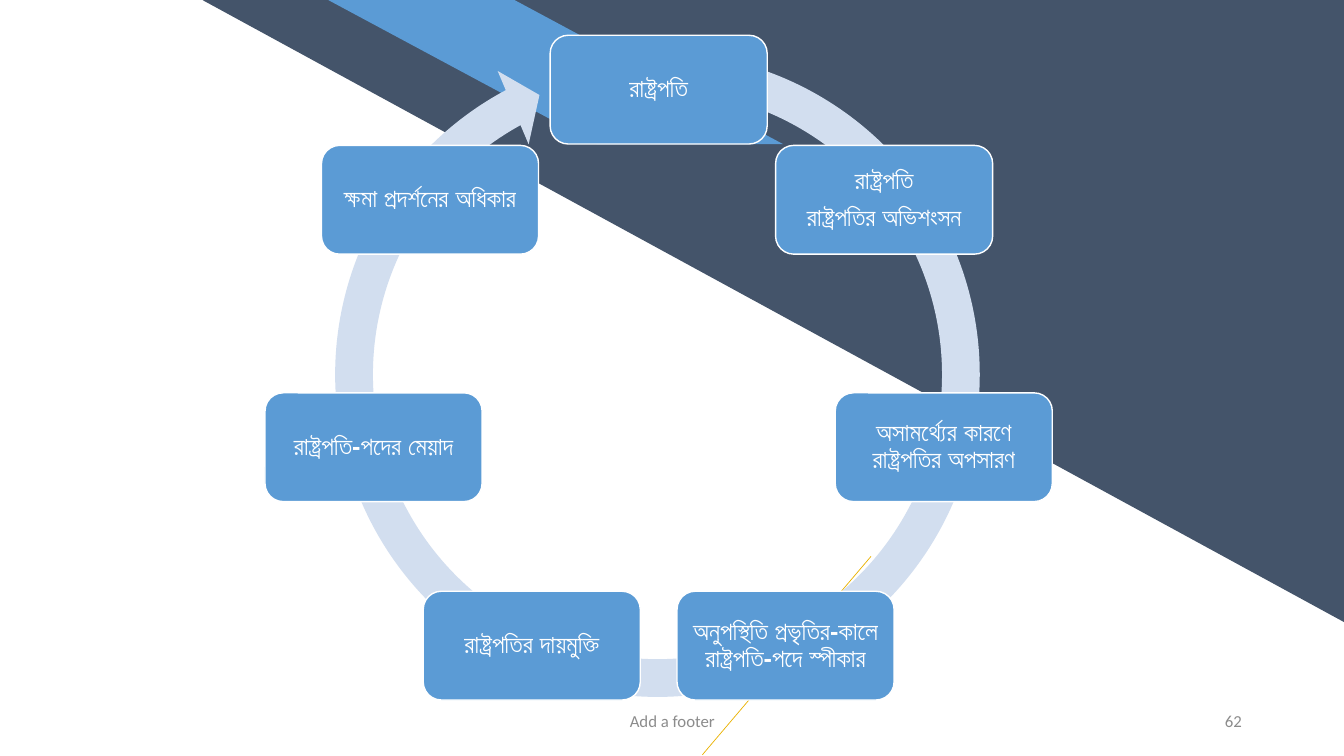
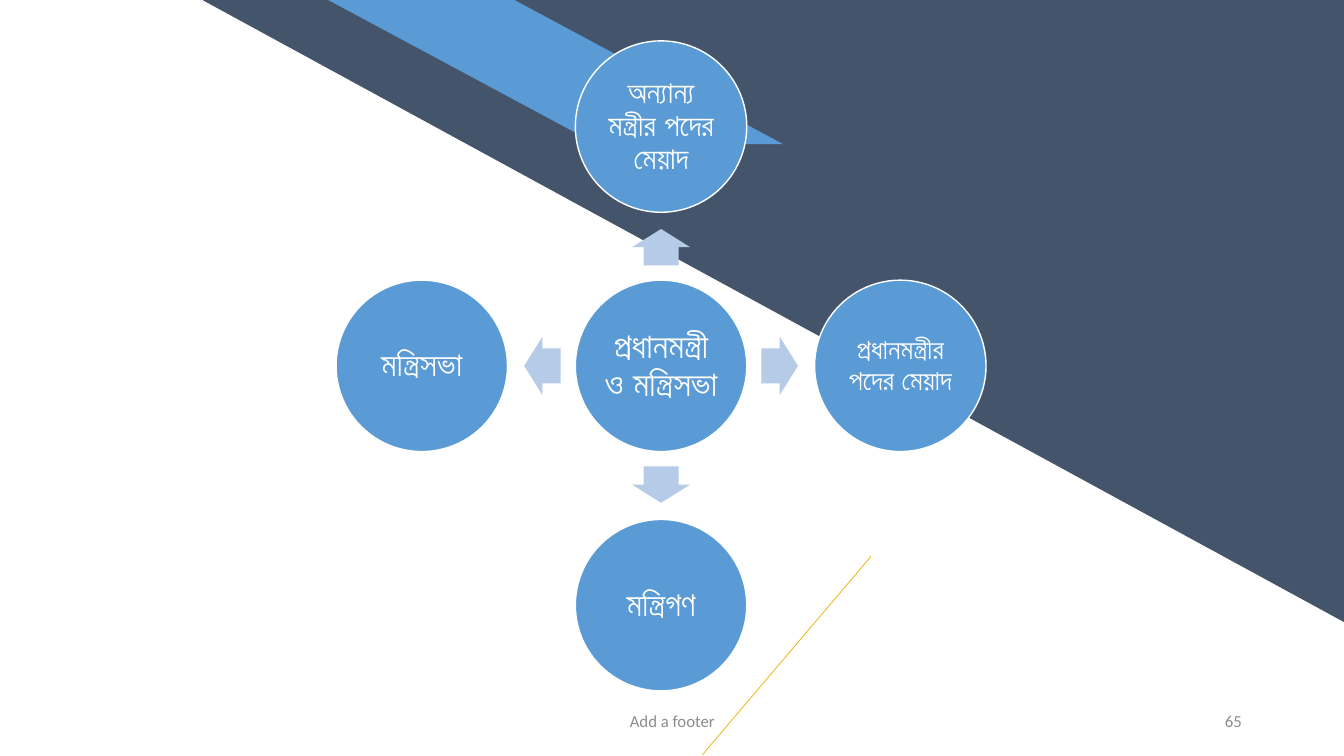
from dataclasses import dataclass
from math import cos, sin, tau

from lxml import etree
from pptx import Presentation
from pptx import util as u
from pptx.dml.color import RGBColor
from pptx.enum import shapes, text
from pptx.oxml.ns import qn

# Content: lines of each box, with a sideways nudge in cm
CYCLE = [
    (["রাষ্ট্রপতি"], 0),
    (["রাষ্ট্রপতি", "রাষ্ট্রপতির অভিশংসন"], -0.08),
    (["অসামর্থ্যের কারণে রাষ্ট্রপতির অপসারণ"], 0),
    (["অনুপস্থিতি প্রভৃতির-কালে রাষ্ট্রপতি-পদে স্পীকার"], 0),
    (["রাষ্ট্রপতির দায়মুক্তি"], 0),
    (["রাষ্ট্রপতি-পদের মেয়াদ"], 0),
    (["ক্ষমা প্রদর্শনের অধিকার"], 0),
]
HUB = ("প্রধানমন্ত্রী ও মন্ত্রিসভা", 25)
# Text, type size, direction from the hub, turn of the arrow
SPOKES = [
    ("অন্যান্য মন্ত্রীর পদের মেয়াদ", 22, (0, -1), 270),
    ("প্রধানমন্ত্রীর পদের মেয়াদ", 20, (1, 0), 0),
    ("মন্ত্রিগণ", 24, (0, 1), 90),
    ("মন্ত্রিসভা", 24, (-1, 0), 180),
]
FOOTER = "Add a footer"


@dataclass(frozen=True)
class Theme:
    navy: str = "44546A"
    blue: str = "5B9BD5"
    gold: str = "EAB200"
    ring: str = "D2DEEF"
    arrow: str = "B5CBE7"
    white: str = "FFFFFF"
    grey: str = "8C8C8C"
    body: str = "Arial"
    foot: str = "Calibri"
    box: int = 18
    small: int = 12


T = Theme()
KIND = shapes.MSO_SHAPE
ALIGN = text.PP_ALIGN


def rgb(code):
    return RGBColor.from_string(code)


def write(frame, lines, size, color=T.white, font=T.body, bold=True,
          align=ALIGN.CENTER, inset=None, lead=0.9, after=7):
    frame.word_wrap = True
    frame.vertical_anchor = text.MSO_ANCHOR.MIDDLE
    if inset is not None:
        frame.margin_left = frame.margin_right = u.Cm(inset)
        frame.margin_top = frame.margin_bottom = u.Cm(inset)
    for i, line in enumerate(lines):
        para = frame.add_paragraph() if i else frame.paragraphs[0]
        para.alignment = align
        para.line_spacing = lead
        para.space_after = u.Pt(after)
        run = para.add_run()
        run.text = line
        run.font.size, run.font.bold, run.font.name = u.Pt(size), bold, font
        run.font.color.rgb = rgb(color)
        # Typeface for complex scripts
        etree.SubElement(run._r.get_or_add_rPr(), qn("a:cs"), typeface=font)


def shape(slide, kind, x, y, w, h, fill, edge=None, adj=(), turn=0):
    """Draw a preset shape centred on x, y."""
    item = slide.shapes.add_shape(kind, u.Cm(x - w / 2), u.Cm(y - h / 2),
                                  u.Cm(w), u.Cm(h))
    item.shadow.inherit = False
    item.fill.solid()
    item.fill.fore_color.rgb = rgb(fill)
    if edge:
        item.line.color.rgb = rgb(edge)
        item.line.width = u.Pt(1)
    else:
        item.line.fill.background()
    for i, value in enumerate(adj):
        item.adjustments[i] = value
    item.rotation = turn
    return item


def backdrop(slide, layout):
    """Draw the shared bands and move them to the layout."""
    wedge = shape(slide, KIND.RIGHT_TRIANGLE, 19.49, 7.84, 28.76, 15.67,
                  T.navy, turn=180)
    band = shape(slide, KIND.PARALLELOGRAM, 14.01, 1.82, 11.46, 3.63,
                 T.blue, adj=[1.864])
    band.element.spPr.find(qn("a:xfrm")).set("flipH", "1")
    rule = slide.shapes.add_connector(
        shapes.MSO_CONNECTOR.STRAIGHT,
        u.Cm(17.7), u.Cm(19.02), u.Cm(21.95), u.Cm(14.02))
    rule.line.color.rgb = rgb(T.gold)
    rule.line.width = u.Pt(0.5)
    etree.SubElement(rule.element.spPr, qn("a:effectLst"))
    for old in list(layout.placeholders):
        layout.shapes.element.remove(old.element)
    for item in (wedge, band, rule):
        layout.shapes.element.append(item.element)


def footer(slide, page):
    for words, x, w, align in ((FOOTER, 11.23, 11.43, ALIGN.CENTER),
                               (str(page), 23.93, 7.62, ALIGN.RIGHT)):
        box = slide.shapes.add_textbox(u.Cm(x), u.Cm(17.65),
                                       u.Cm(w), u.Cm(1.02))
        write(box.text_frame, [words], T.small, color=T.grey, font=T.foot,
              bold=False, align=align, lead=1, after=0)


def cycle(slide):
    # Ring arrow behind the boxes
    shape(slide, KIND.CIRCULAR_ARROW, 16.57, 9.44, 17.3, 17.3, T.ring,
          adj=[0.055, 3.31, 144.96, 169.61, 0.058])
    # Boxes at equal angles, clockwise from the top
    midx, midy, reach = 16.6, 9.63, 7.37
    for i, (lines, nudge) in enumerate(CYCLE):
        angle = tau * i / len(CYCLE)
        box = shape(slide, KIND.ROUNDED_RECTANGLE,
                    midx + reach * sin(angle) + nudge,
                    midy - reach * cos(angle), 5.47, 2.74, T.blue, T.white)
        write(box.text_frame, lines, T.box, inset=0.18)


def disc(slide, words, size, x, y):
    item = shape(slide, KIND.OVAL, x, y, 4.32, 4.32, T.blue, T.white)
    write(item.text_frame, [words], size, inset=0.09)


def radial(slide):
    midx, midy, step, gap = 16.66, 9.22, 6.03, 2.99
    disc(slide, *HUB, midx, midy)
    for words, size, (dx, dy), turn in SPOKES:
        shape(slide, KIND.RIGHT_ARROW, midx + gap * dx, midy + gap * dy,
              0.92, 1.47, T.arrow, adj=[0.6, 0.5], turn=turn)
        disc(slide, words, size, midx + step * dx, midy + step * dy)


def main():
    deck = Presentation()
    deck.slide_width, deck.slide_height = u.Cm(33.87), u.Cm(19.05)
    layout = deck.slide_layouts[6]
    for i, (page, draw) in enumerate(((62, cycle), (65, radial))):
        slide = deck.slides.add_slide(layout)
        if i == 0:
            backdrop(slide, layout)
            for item in list(slide.placeholders):
                slide.shapes.element.remove(item.element)
        footer(slide, page)
        draw(slide)
    deck.save("out.pptx")


if __name__ == "__main__":
    main()
